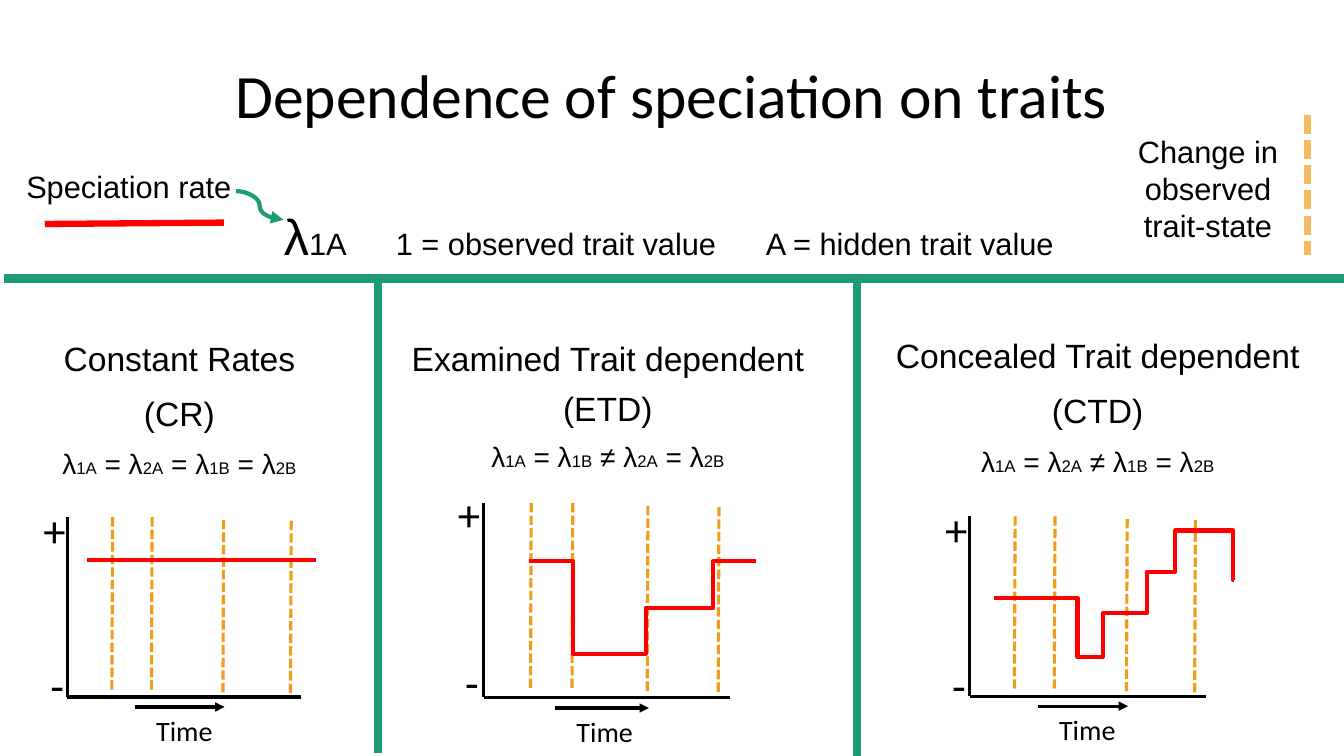
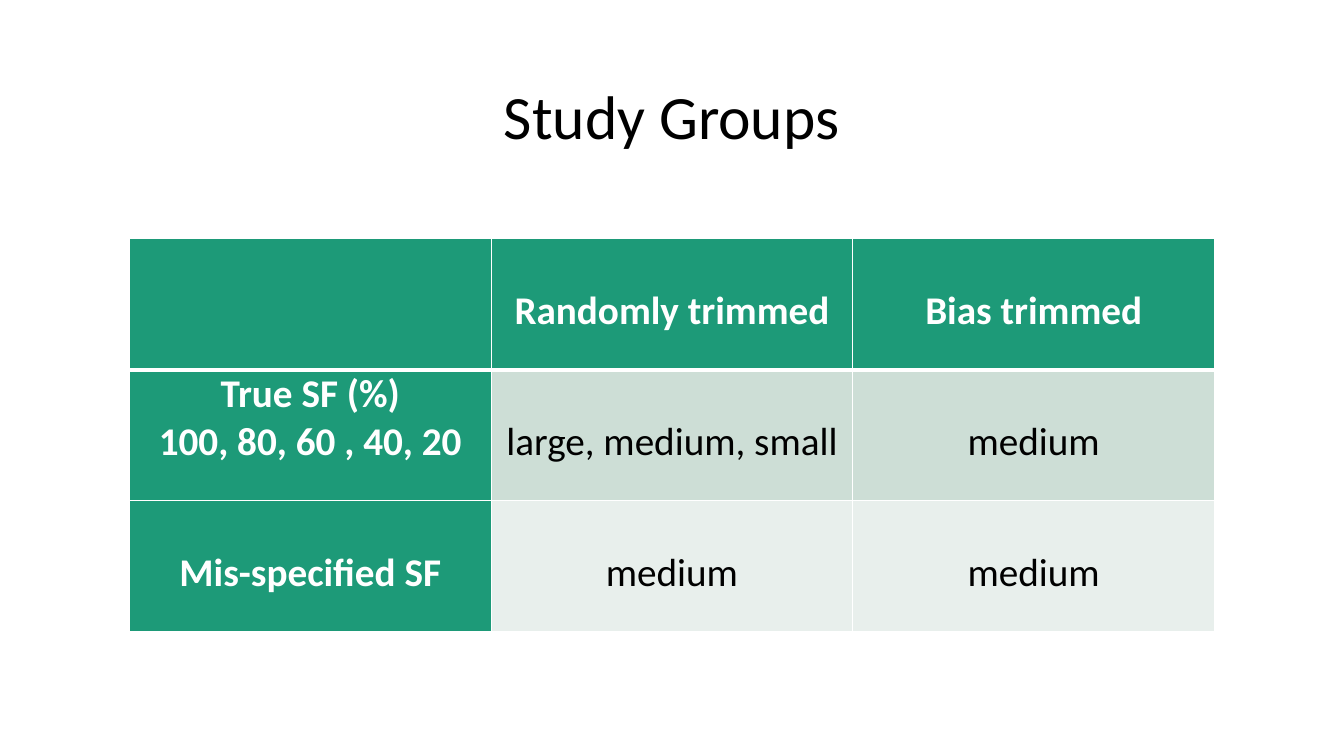
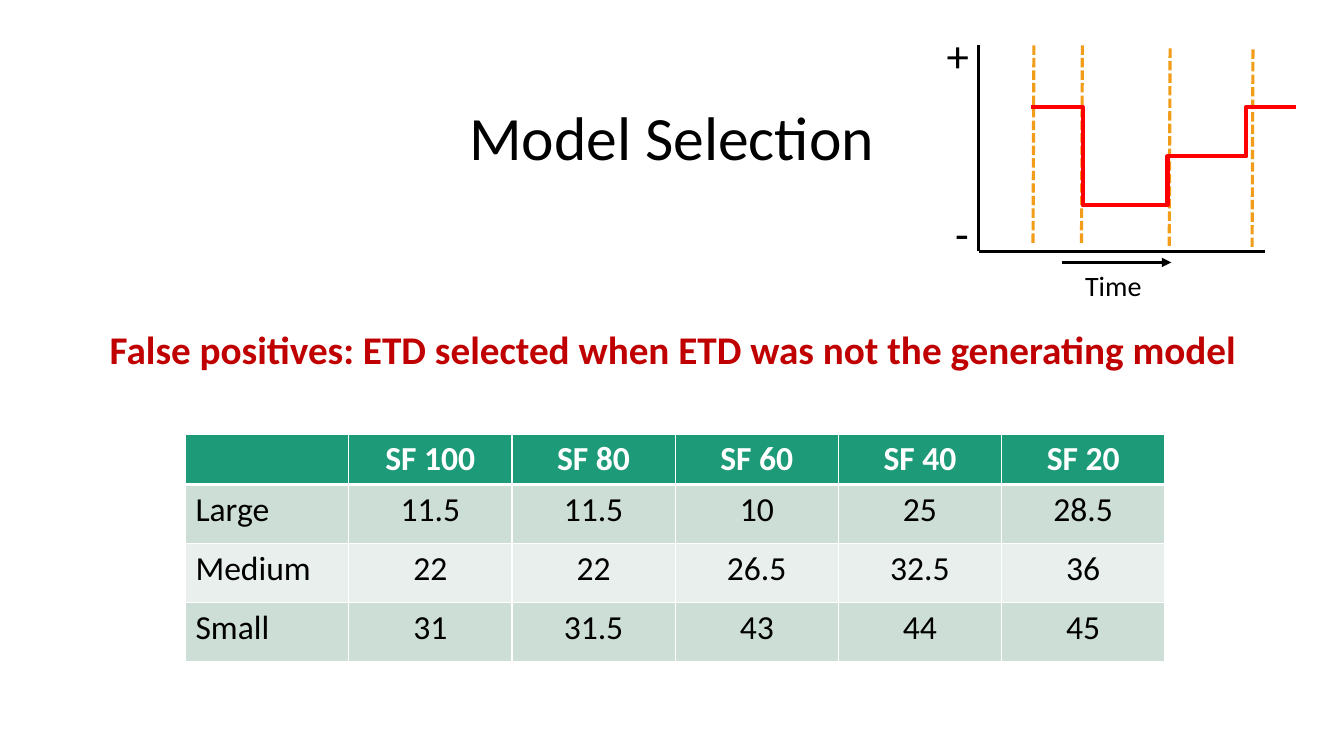
from lxml import etree
from pptx import Presentation, util as u
from pptx.dml.color import RGBColor
from pptx.enum import dml, shapes, text
from pptx.oxml.ns import qn

HUES = {
    "black": "000000",
    "white": "FFFFFF",
    "green": "1D9A78",
    "sage": "CDDED6",
    "mist": "E8EFEC",
    "red": "FF0000",
    "wine": "C00000",
    "gold": "F19D19",
    "sand": "F6BC61",
}
LEFT, MID = text.PP_ALIGN.LEFT, text.PP_ALIGN.CENTER
LINE, BENT, CURVE = (
    shapes.MSO_CONNECTOR.STRAIGHT,
    shapes.MSO_CONNECTOR.ELBOW,
    shapes.MSO_CONNECTOR.CURVE,
)
ETD = (0.184, 0.3), [(0.363, 0.777), (0.659, 0.539), (0.934, 0.3)], 1.107
CTD = (
    (0.103, 0.455),
    [(0.457, 0.781), (0.564, 0.539), (0.752, 0.309), (0.872, 0.079), (1.117, 0.354)],
    1.12,
)
CR = (0.082, 0.24), [], 1.065


def hue(name):
    return RGBColor.from_string(HUES[name])


def adorn(item, form):
    for key, val in form.items():
        setattr(item, key, val)


def node(parent, tag, **attrs):
    return etree.SubElement(parent, qn(tag), **attrs)


class Deck:
    """Holds the shared style and the current slide."""

    def __init__(self):
        self.file = Presentation()
        adorn(self.file, {"slide_width": u.Pt(960), "slide_height": u.Pt(540)})
        self.slide = None

    def page(self, title, top):
        self.slide = self.file.slides.add_slide(self.file.slide_layouts[6])
        self.label((66, top, 828, 104.4), [title], size=44, lead=0.9, mid=True)

    def words(self, frame, paras, size=20, face="Calibri", tint="black",
              bold=False, align=MID, lead=1.0, gap=0, tabs=()):
        for n, runs in enumerate(paras):
            para = frame.add_paragraph() if n else frame.paragraphs[0]
            if tabs:
                stops = node(para._p.get_or_add_pPr(), "a:tabLst")
                for stop in tabs:
                    node(stops, "a:tab", pos=str(u.Pt(stop)), algn="l")
            adorn(para, {
                "alignment": align,
                "line_spacing": lead,
                "space_before": u.Pt(gap if n else 0),
            })
            for part, pts in [(runs, size)] if isinstance(runs, str) else runs:
                run = para.add_run()
                run.text = part
                adorn(run.font, {"size": u.Pt(pts), "name": face, "bold": bold})
                run.font.color.rgb = hue(tint)

    def label(self, area, paras, mid=False, **form):
        frame = self.slide.shapes.add_textbox(*map(u.Pt, area)).text_frame
        frame.word_wrap = True
        if mid:
            frame.vertical_anchor = text.MSO_ANCHOR.MIDDLE
        self.words(frame, paras, **form)

    def line(self, ends, tint="black", width=2.25, kind=LINE,
             dash=False, arrow=False, bend=None):
        wire = self.slide.shapes.add_connector(kind, *map(u.Pt, ends))
        wire.line.width = u.Pt(width)
        wire.line.color.rgb = hue(tint)
        if dash:
            wire.line.dash_style = dml.MSO_LINE.SQUARE_DOT
        props = wire._element.spPr
        if arrow:
            node(props.find(qn("a:ln")), "a:tailEnd", type="triangle")
        if bend is not None:
            node(props.find(".//" + qn("a:avLst")), "a:gd",
                 name="adj1", fmla=f"val {round(bend * 100000)}")
        node(props, "a:effectLst")

    def trace(self, spot, start, steps, end):
        x, y = start
        if not steps:
            self.line((*spot(x, y), *spot(end, y)), "red", 3)
        for n, (turn, level) in enumerate(steps):
            stop = (turn + steps[n + 1][0]) / 2 if n + 1 < len(steps) else end
            self.line((*spot(x, y), *spot(stop, level)), "red", 3, BENT,
                      bend=(turn - x) / (stop - x))
            x, y = stop, level

    def graph(self, left, top, wide, high, route):
        def spot(x, y):
            return left + x * wide, top + y * high

        self.line((*spot(0, 0), *spot(0, 1)))
        self.line((*spot(0, 1), *spot(1, 1)))
        for x, y in ((0.193, 0), (0.362, 0), (0.668, 0.015), (0.957, 0.02)):
            self.line((*spot(x, y), *spot(x - 0.003, y + 0.96)), "gold", dash=True)
        self.line((*spot(0.29, 1.055), *spot(0.672, 1.055)), arrow=True)
        self.label((*spot(0.337, 1.062), wide / 2, 34), ["Time"], align=LEFT)
        for sign, x, y in (("-", -0.116, 0.756), ("+", -0.146, -0.11)):
            self.label((*spot(x, y), wide * 0.116, 50), [sign], size=32)
        self.trace(spot, *route)

    def model(self, area, name, code, rule, lead=1.0):
        runs = []
        for word in rule.split():
            if word[0].isdigit():
                runs += [("λ", 20), (word, 12)]
            else:
                runs.append((f" {word} ", 20))
        self.label(area, [name, f"({code})", runs],
                   size=24, face="Arial", lead=lead, gap=10)

    def edge(self, cell, row):
        props = cell._tc.get_or_add_tcPr()
        thick = {"a:lnT": row == 1, "a:lnB": row == 0}
        for side in ("a:lnL", "a:lnR", "a:lnT", "a:lnB"):
            rim = node(props, side, w=str(u.Pt(3 if thick.get(side) else 1)))
            node(node(rim, "a:solidFill"), "a:srgbClr", val=HUES["white"])

    def table(self, spot, wide, highs, rows, size, pad, side=False, lead=1.0):
        cols = len(rows[0])
        area = (*spot, wide * cols, sum(highs))
        grid = self.slide.shapes.add_table(len(rows), cols, *map(u.Pt, area)).table
        for col in grid.columns:
            col.width = u.Pt(wide)
        for r, row in enumerate(rows):
            grid.rows[r].height = u.Pt(highs[r])
            for c, entry in enumerate(row):
                cell, head = grid.cell(r, c), r == 0 or side and c == 0
                adorn(cell, {
                    "margin_left": u.Pt(pad[0]), "margin_right": u.Pt(pad[0]),
                    "margin_top": u.Pt(pad[1]), "margin_bottom": u.Pt(pad[1]),
                })
                self.edge(cell, r)
                cell.fill.solid()
                cell.fill.fore_color.rgb = hue(
                    "green" if head else "sage" if r % 2 else "mist")
                paras = entry.split("\n") if entry else []
                self.words(cell.text_frame, paras, size=size, bold=head,
                           tint="white" if head else "black",
                           align=MID if c or side else LEFT,
                           lead=lead if len(paras) == 1 else 1.0)


def traits(deck):
    deck.page("Dependence of speciation on traits", 18)
    deck.label((195.7, 143, 600, 50),
               [[("λ", 36), ("1A\t1 = observed trait value\tA = hidden trait value", 22)]],
               face="Arial", align=LEFT, tabs=(80, 344.2))
    deck.graph(48.2, 369.4, 167, 128.5, CR)
    deck.graph(345.6, 359.3, 175.5, 138.8, ETD)
    deck.graph(692.6, 368.8, 168.5, 128.5, CTD)
    deck.model((32.4, 238, 191.5, 130), "Constant Rates", "CR", "1A = 2A = 1B = 2B")
    deck.model((625.7, 236, 316.8, 111), "Concealed Trait dependent", "CTD",
               "1A = 2A ≠ 1B = 2B")
    deck.model((275.8, 241.2, 316.8, 104), "Examined Trait dependent", "ETD",
               "1A = 1B ≠ 2A = 2B", 0.9)
    for ends in ((3, 199, 960, 199), (270, 199, 270, 538), (612, 202, 612, 540)):
        deck.line(ends, "green", 6)
    deck.label((0, 116, 184, 34), ["Speciation rate"], size=22, face="Arial")
    deck.line((168.5, 136.5, 202.5, 157), "green", 3, CURVE, arrow=True)
    deck.line((32, 160, 160, 159), "red", 4.5)
    deck.label((800.6, 91.4, 124.6, 87), ["Change in observed trait-state"],
               size=22, face="Arial")
    deck.line((934, 82, 934, 182), "sand", 4.5, dash=True)


def groups(deck):
    deck.page("Study Groups", 33)
    deck.table((92.4, 170.6), 258.4, [93.6] * 3, [
        ("", "Randomly trimmed", "Bias trimmed"),
        ("True SF (%)\n100, 80, 60 , 40, 20", "large, medium, small", "medium"),
        ("Mis-specified SF", "medium", "medium"),
    ], 28, (5, 0), side=True, lead=2.0)


def choice(deck):
    deck.page("Model Selection", 48.5)
    deck.label((71.3, 229, 851, 42),
               ["False positives: ETD selected when ETD was not the generating model"],
               size=28, tint="wine", bold=True, align=LEFT)
    deck.table((132.5, 310), 116.6, [36] + [42.3] * 3, [
        ("", "SF 100", "SF 80", "SF 60", "SF 40", "SF 20"),
        ("Large", "11.5", "11.5", "10", "25", "28.5"),
        ("Medium", "22", "22", "26.5", "32.5", "36"),
        ("Small", "31", "31.5", "43", "44", "45"),
    ], 24, (7.2, 3.6))
    deck.graph(699, 32.4, 204.8, 147, ETD)


def main():
    deck = Deck()
    for draw in (traits, groups, choice):
        draw(deck)
    deck.file.save("out.pptx")


if __name__ == "__main__":
    main()
